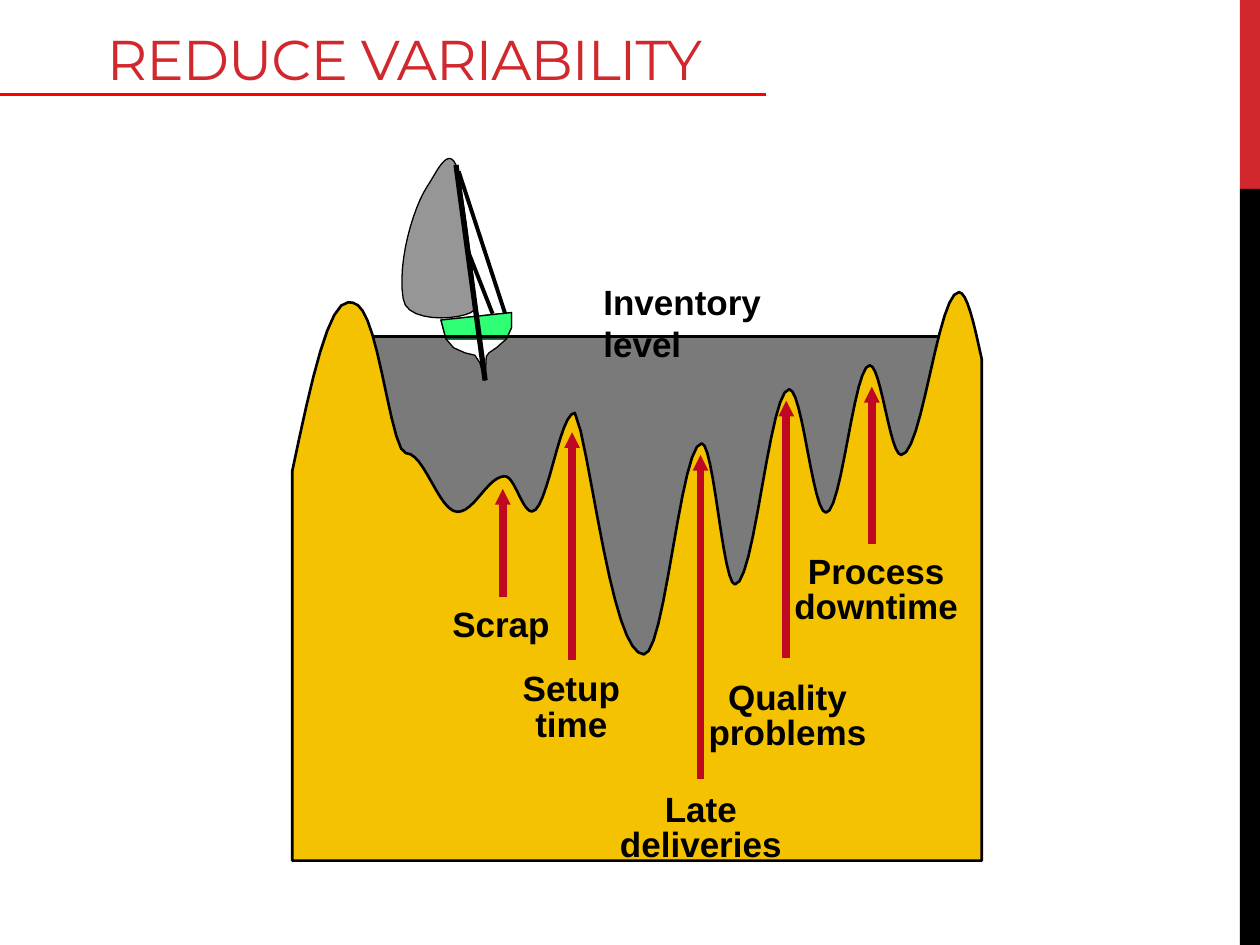
import math
import pptx
import pptx.util
import pptx.dml.color
import pptx.enum.shapes
import pptx.enum.text
import pptx.oxml.ns
import lxml.etree

Pt = pptx.util.Pt
ALIGN = pptx.enum.text.PP_ALIGN
ANCHOR = pptx.enum.text.MSO_ANCHOR
COLORS = {
    "red": "D1282E", "rule": "FF0000", "black": "000000", "white": "FFFFFF",
    "water": "7A7A7A", "sail": "969696", "deck": "2FFF74",
    "rock": "F5C201", "arrow": "BF0922",
}

WATERLINE = 192.2
ROCK_LEFT, ROCK_RIGHT, ROCK_BOTTOM = 167, 561, 491.8
LEFT_SHORE, RIGHT_SHORE = (199, 172.8), (548, 167)
LEDGE = (232, 259)
VALLEYS = [(261.5, 292.5), (304, 292.3), (368, 374), (420, 334), (472, 293), (515, 260)]
PEAKS = [(288.5, 272.2), (328.5, 236), (401, 253.4), (451, 222.5), (497, 208.8)]
LEAN = {LEFT_SHORE: 1.36, PEAKS[1]: 0.7}

MAST_TOP, KEEL = (260.6, 94.3), (277.2, 217.4)
SAIL_CURVES = [
    (MAST_TOP, (255.6, 82.8), (248.4, 100.8), (244.1, 106.6)),
    ((244.1, 106.6), (236, 119), (227, 150), (230.4, 170.6)),
    ((230.4, 170.6), (232, 187), (273, 182), (271.4, 175.7)),
    ((271.4, 175.7), (272.2, 169.2), (264.2, 105.8), MAST_TOP),
]
BOW, STERN = (292.3, 178.6), (252, 182.9)
HULL_LEFT, HULL_RIGHT = (254.9, 193.7), (289.4, 193.7)
BOW_SIDE = (292.3, 187.2)
KEEL_LEFT = [(259.2, 198.7), (265.7, 201.6), (271.4, 203), (274.3, 207.4)]
KEEL_RIGHT = [(277.9, 203.8), (279.4, 201.6), (283.7, 198.7)]
STAYS = [((262.1, 97.9), (288.7, 179.3)), ((267.1, 142.6), (281.5, 179.3))]

CAUSES = [
    ("Scrap", (246.3, 344.2, 80, 27.4), (287.3, 341.3, 279.4)),
    ("Setup time", (277.2, 380.9, 98.6, 48.2), (326.9, 377.3, 247)),
    ("Late deliveries", (325, 450, 151, 48.2), (400.3, 445, 259.9)),
    ("Quality problems", (393.1, 385.9, 113.8, 48.2), (449.3, 375.8, 229)),
    ("Process downtime", (440.6, 313.9, 120.2, 48.2), (498.2, 311, 221)),
]


def rgb(name):
    """Look up a named colour."""
    return pptx.dml.color.RGBColor.from_string(COLORS[name])


def slope(start, end, lean=1, steps=12):
    """Follow a half cosine wave between a crest and a trough."""
    (x1, y1), (x2, y2) = start, end
    for t in (i / steps for i in range(steps)):
        rise = (1 - math.cos(math.pi * t ** lean)) / 2
        yield x1 + (x2 - x1) * t, y1 + (y2 - y1) * rise


def shoulder(crest, edge, steps=8):
    """Follow a quarter cosine wave from a crest down to an edge."""
    (x1, y1), (x2, y2) = crest, edge
    for t in (i / steps for i in range(steps + 1)):
        drop = 1 - math.cos(math.pi / 2 * t)
        yield x1 + (x2 - x1) * t, y1 + (y2 - y1) * drop


def bezier(a, b, c, d, steps=12):
    """Sample a cubic curve, leaving out its end point."""
    for t in (i / steps for i in range(steps)):
        u = 1 - t
        weights = u ** 3, 3 * u * u * t, 3 * u * t * t, t ** 3
        yield tuple(sum(w * v for w, v in zip(weights, axis)) for axis in zip(a, b, c, d))


def rock_outline():
    """Join both shores through the alternating valleys and peaks."""
    turns = [LEFT_SHORE, LEDGE, *sorted(VALLEYS + PEAKS), RIGHT_SHORE]
    points = list(shoulder(LEFT_SHORE, (ROCK_LEFT, 269.3)))[::-1]
    for start, end in zip(turns, turns[1:]):
        points += slope(start, end, LEAN.get(start, 1))
    points += shoulder(RIGHT_SHORE, (ROCK_RIGHT, 205.2))
    return points + [(ROCK_RIGHT, ROCK_BOTTOM), (ROCK_LEFT, ROCK_BOTTOM)]


class Painter:
    """Holds the text style and the current slide."""

    def __init__(self, s, font="Arial", size=20):
        """Keep the slide and the label font."""
        self.s, self.font, self.size = s, font, size

    def paint(self, sp, fill, width=0):
        """Set fill and outline of a shape."""
        sp.shadow.inherit = False
        sp.fill.solid()
        sp.fill.fore_color.rgb = rgb(fill)
        if width:
            sp.line.color.rgb = rgb("black")
            sp.line.width = Pt(width)
        else:
            sp.line.fill.background()

    def rect(self, x, y, w, h, fill):
        """Add a plain rectangle."""
        kind = pptx.enum.shapes.MSO_SHAPE.RECTANGLE
        self.paint(self.s.shapes.add_shape(kind, Pt(x), Pt(y), Pt(w), Pt(h)), fill)

    def outline(self, points, fill, width=0):
        """Add a closed polygon."""
        start, *rest = [(Pt(x), Pt(y)) for x, y in points]
        fb = self.s.shapes.build_freeform(*start)
        fb.add_line_segments(rest, close=True)
        self.paint(fb.convert_to_shape(), fill, width)

    def line(self, start, end, width, color="black", arrow=False):
        """Add a straight line, with a small arrowhead if asked."""
        kind = pptx.enum.shapes.MSO_CONNECTOR.STRAIGHT
        sp = self.s.shapes.add_connector(kind, *(Pt(v) for v in start + end))
        sp.line.color.rgb = rgb(color)
        sp.line.width = Pt(width)
        qn = pptx.oxml.ns.qn
        if arrow:
            ln = sp.line._get_or_add_ln()
            lxml.etree.SubElement(ln, qn("a:tailEnd"), type="triangle", w="sm", len="sm")
        lxml.etree.SubElement(sp._element.spPr, qn("a:effectLst"))

    def text(self, text, x, y, w, h, align=ALIGN.CENTER, spacing=0.85, bold=True,
             font=None, size=None, color="black", anchor=ANCHOR.TOP, tracking=0):
        """Add a one-paragraph text box."""
        tf = self.s.shapes.add_textbox(Pt(x), Pt(y), Pt(w), Pt(h)).text_frame
        tf.word_wrap = True
        tf.vertical_anchor = anchor
        p = tf.paragraphs[0]
        r = p.add_run()
        r.text = text
        p.alignment = align
        p.line_spacing = spacing
        p.font.name = font or self.font
        p.font.size = Pt(size or self.size)
        p.font.bold = bold
        p.font.color.rgb = rgb(color)
        if tracking:
            r.font._element.set("spc", str(tracking))


def draw_frame(d):
    """Draw the side bars, the title and its rule."""
    d.rect(708.5, 0, 11.5, 108, "red")
    d.rect(708.5, 108, 11.5, 432, "black")
    d.line((0, 54), (437.8, 54), 2.25, "rule")
    d.text("REDUCE VARIABILITY", 54, -17.2, 612, 72.7, align=ALIGN.LEFT, spacing=0.8,
           bold=False, font="Montserrat", size=32, color="red",
           anchor=ANCHOR.BOTTOM, tracking=-60)


def draw_boat(d):
    """Draw the sail, the hull, the deck and the rigging."""
    hull = [BOW, STERN, HULL_LEFT, *KEEL_LEFT, KEEL, *KEEL_RIGHT, HULL_RIGHT, BOW_SIDE]
    d.outline([point for curve in SAIL_CURVES for point in bezier(*curve)], "sail", 0.75)
    d.outline(hull, "white", 0.75)
    d.outline([BOW, STERN, HULL_LEFT, HULL_RIGHT, BOW_SIDE], "deck", 0.75)
    for stay in STAYS:
        d.line(*stay, 2.25)
    d.line(MAST_TOP, KEEL, 3)


def main():
    """Build the slide and save it."""
    prs = pptx.Presentation()
    prs.slide_width, prs.slide_height = Pt(720), Pt(540)
    s = prs.slides.add_slide(prs.slide_layouts[6])
    d = Painter(s)
    draw_frame(d)
    d.outline([(208, WATERLINE), (542, WATERLINE), (521, 296), (366, 379.4), (208, 296)],
              "water")
    draw_boat(d)
    d.line((205.2, WATERLINE), (547.9, WATERLINE), 1.5)
    d.text("Inventory level", 337.7, 157, 151, 55, align=ALIGN.LEFT, spacing=1)
    d.outline(rock_outline(), "rock", 1.5)
    for name, box, (x, bottom, top) in CAUSES:
        d.text(name, *box)
        d.line((x, bottom), (x, top), 4.5, "arrow", arrow=True)
    prs.save("out.pptx")


if __name__ == "__main__":
    main()
